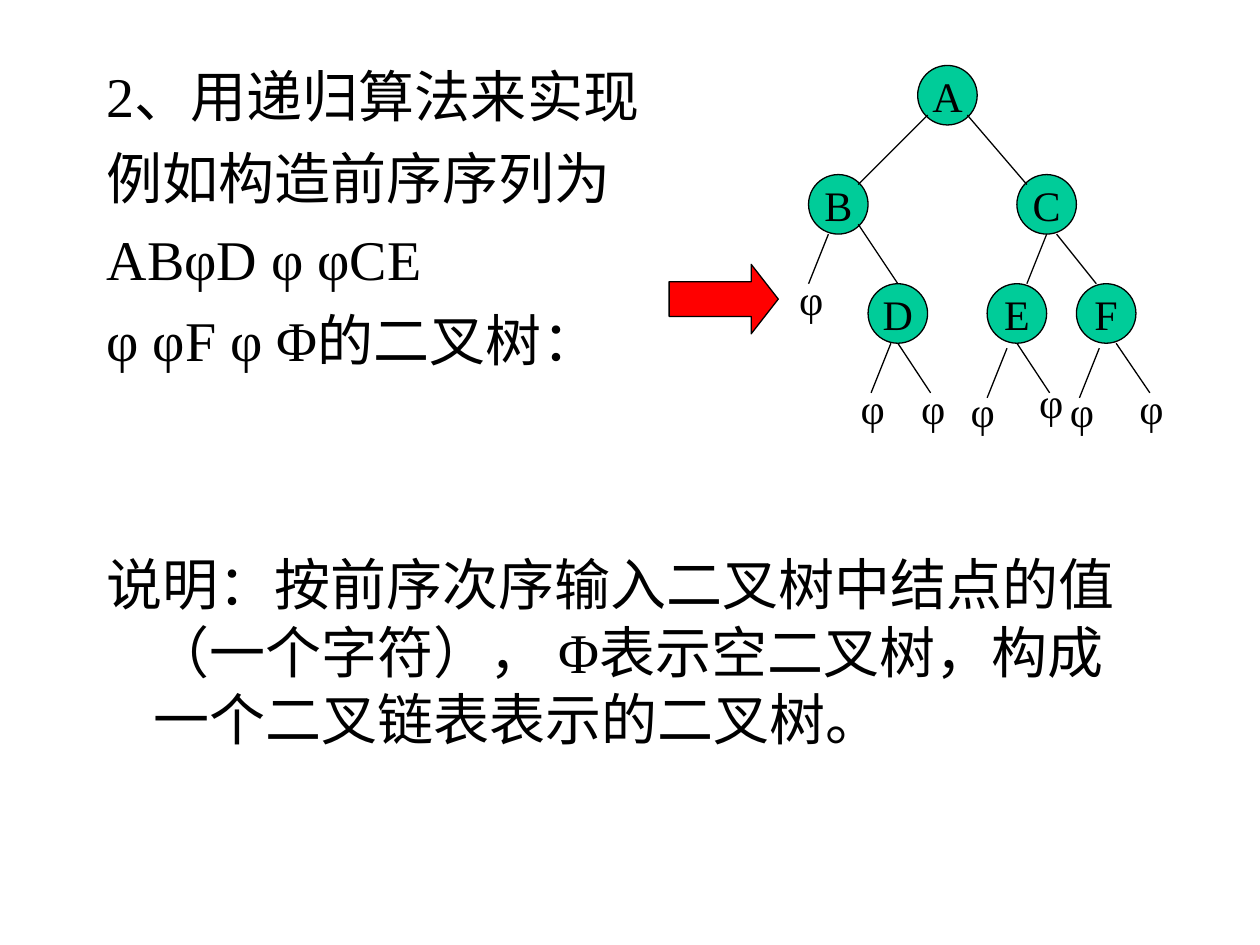
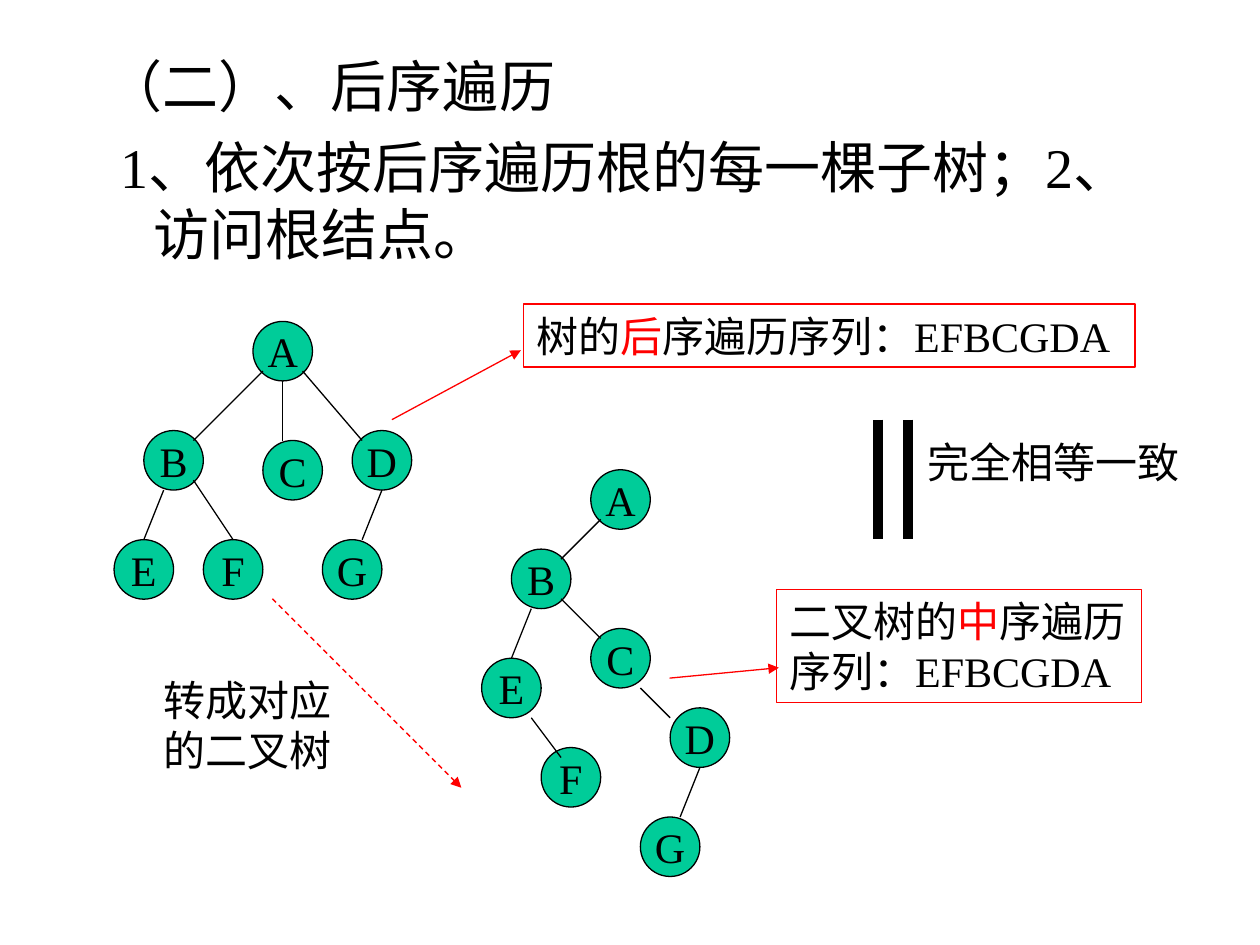
from pptx import Presentation
from pptx.dml.color import RGBColor
from pptx.enum.dml import MSO_LINE
from pptx.enum.shapes import MSO_CONNECTOR, MSO_SHAPE
from pptx.enum.text import MSO_ANCHOR, MSO_AUTO_SIZE, PP_ALIGN
from pptx.oxml.ns import qn
from pptx.util import Cm, Pt
from lxml import etree

BLACK = RGBColor(0, 0, 0)
RED = RGBColor(0xFF, 0, 0)
GREEN = RGBColor(0, 0xCC, 0x99)
FONT = "Times New Roman"
LARGE, SMALL = 32, 24

GRID = 0.2
NODE = 6 * GRID
LEFT = 1.9
PITCH = 1.64
HANGING = 0.95
TEXT_HEIGHT = 1.6

COMMON_EDGES = [
    (1, 5, -6, 12), (5, 5, 11, 12), (-9, 17, -11, 22),
    (-6, 16, -2, 22), (13, 17, 11, 22),
]

PREORDER_TREE = {
    "origin": (18.5, 1.32),
    "nodes": {"A": (0, 0), "B": (-11, 11), "C": (10, 11),
              "D": (-5, 22), "E": (7, 22), "F": (16, 22)},
    "edges": COMMON_EDGES + [
        (14, 17, 18, 22), (-2.7, 28, -4.7, 33), (-2, 28, 1.3, 33),
        (9, 28.5, 7, 33.5), (10, 28, 13.3, 33),
        (18.3, 28.5, 16.3, 33.5), (20, 28, 23.4, 33)],
    "empties": [(-13.2, 20.3), (-7, 31.3), (-0.9, 31.3), (4.1, 31.6),
                (11, 30.7), (14.1, 31.6), (21.1, 31.3)],
}
GENERAL_TREE = {
    "origin": (5.1, 6.48),
    "nodes": {"A": (0, 0), "B": (-11, 11), "C": (1, 12), "D": (10, 11),
              "E": (-14, 22), "F": (-5, 22), "G": (7, 22)},
    "edges": COMMON_EDGES + [(3, 6, 3, 12)],
    "empties": [],
}
BINARY_TREE = {
    "origin": (11.91, 9.47),
    "nodes": {"A": (0, 0), "B": (-8, 8), "C": (0, 16), "D": (8, 24),
              "E": (-11, 19), "F": (-5, 28), "G": (5, 35)},
    "edges": [(1, 5, -3, 9), (-6, 14, -8, 19), (-6, 25, -3, 29),
              (11, 30, 9, 35), (-3, 13, 1, 17), (5, 22, 8, 25)],
    "empties": [],
}

RECURSION = {
    "title": "2、用递归算法来实现",
    "title_top": 1.12,
    "passages": [
        (1, 11.4, HANGING, ["例如构造前序序列为", "ABφD φ φCE", "φ φF φ Φ的二叉树："]),
        (6, 21.59, HANGING, ["说明：按前序次序输入二叉树中结点的值（一个字符），"
                             " Φ表示空二叉树，构成一个二叉链表表示的二叉树。"]),
    ],
    "trees": [PREORDER_TREE],
    "labels": [],
    "arrows": [],
    "bars": [],
}
POSTORDER = {
    "title": "（二）、后序遍历",
    "title_top": 0.91,
    "passages": [
        (1, 21.59, 0.67, ["1、依次按后序遍历根的每一棵子树；2、访问根结点。"]),
    ],
    "trees": [GENERAL_TREE, BINARY_TREE],
    "labels": [
        ((10.56, 6.13, 12.32, 1.27), RED,
         [[("树的", BLACK), ("后", RED), ("序遍历序列：EFBCGDA", BLACK)]]),
        ((15.66, 11.88, 7.36, 2.29), RED,
         [[("二叉树的", BLACK), ("中", RED), ("序遍历", BLACK)],
          [("序列：EFBCGDA", BLACK)]]),
        ((3.05, 13.47, 3.96, 2.29), None,
         [[("转成对应", BLACK)], [("的二叉树", BLACK)]]),
        ((18.45, 8.67, 5.66, 1.27), None, [[("完全相等一致", BLACK)]]),
    ],
    "arrows": [((7.9, 8.46, 10.5, 7.06), False),
               ((13.5, 13.67, 15.7, 13.46), False),
               ((5.49, 12.07, 9.3, 15.88), True)],
    "bars": [(17.7, 8.46, 17.7, 10.87), (18.3, 8.46, 18.3, 10.87)],
}


def style_runs(paragraph, size, color=BLACK):
    for run in paragraph.runs:
        run.font.name = FONT
        run.font.size = Pt(size)
        run.font.color.rgb = color


def add_title(slide, text, top):
    title = slide.shapes.title
    title.left, title.top, title.width, title.height = map(Cm, (LEFT, top, 15, TEXT_HEIGHT))
    frame = title.text_frame
    frame.text = text
    frame.auto_size = MSO_AUTO_SIZE.NONE
    frame.vertical_anchor = MSO_ANCHOR.TOP
    frame.paragraphs[0].alignment = PP_ALIGN.LEFT
    style_runs(frame.paragraphs[0], LARGE)


def add_passage(slide, top, width, hanging, lines):
    box = slide.shapes.add_textbox(Cm(LEFT), Cm(top), Cm(width), Cm(PITCH * len(lines)))
    frame = box.text_frame
    frame.word_wrap = True
    frame.text = "\n".join(lines)
    for index, paragraph in enumerate(frame.paragraphs):
        properties = paragraph._p.get_or_add_pPr()
        properties.set("marL", str(Cm(HANGING)))
        properties.set("indent", str(-Cm(hanging)))
        paragraph.space_before = Pt(8 if index else 0)
        style_runs(paragraph, LARGE)


def add_label(slide, place, border, lines):
    label = slide.shapes.add_textbox(*map(Cm, place))
    if border is not None:
        label.line.color.rgb = border
        label.line.width = Pt(0.75)
    frame = label.text_frame
    frame.word_wrap = False
    frame.auto_size = MSO_AUTO_SIZE.SHAPE_TO_FIT_TEXT
    for index, pieces in enumerate(lines):
        paragraph = frame.add_paragraph() if index else frame.paragraphs[0]
        for text, color in pieces:
            run = paragraph.add_run()
            run.text = text
            run.font.name = FONT
            run.font.size = Pt(SMALL)
            run.font.color.rgb = color


def add_line(slide, ends, color=BLACK, width=0.75, arrow=False, dashed=False):
    line = slide.shapes.add_connector(MSO_CONNECTOR.STRAIGHT, *map(Cm, ends))
    line.line.color.rgb = color
    line.line.width = Pt(width)
    if dashed:
        line.line.dash_style = MSO_LINE.DASH
    if arrow:
        etree.SubElement(line.line._get_or_add_ln(), qn("a:tailEnd"), type="triangle")
    etree.SubElement(line._element.spPr, qn("a:effectLst"))


def add_preset(slide, preset, place, fill):
    shape = slide.shapes.add_shape(preset, *map(Cm, place))
    shape.shadow.inherit = False
    shape.fill.solid()
    shape.fill.fore_color.rgb = fill
    shape.line.color.rgb = BLACK
    shape.line.width = Pt(0.75)
    return shape


def add_tree(slide, tree):
    left, top = tree["origin"]

    def at(column, row):
        return left + column * GRID, top + row * GRID

    for name, spot in tree["nodes"].items():
        node = add_preset(slide, MSO_SHAPE.OVAL, (*at(*spot), NODE, NODE), GREEN)
        frame = node.text_frame
        frame.text = name
        frame.word_wrap = False
        frame.vertical_anchor = MSO_ANCHOR.MIDDLE
        frame.paragraphs[0].alignment = PP_ALIGN.CENTER
        style_runs(frame.paragraphs[0], SMALL)
    for x1, y1, x2, y2 in tree["edges"]:
        add_line(slide, (*at(x1, y1), *at(x2, y2)))
    for spot in tree["empties"]:
        add_label(slide, (*at(*spot), 1, 1.27), None, [[("φ", BLACK)]])


def build_slide(deck, content):
    slide = deck.slides.add_slide(deck.slide_layouts[5])
    title_top = content["title_top"]
    add_title(slide, content["title"], title_top)
    for row, width, hanging, lines in content["passages"]:
        add_passage(slide, title_top + row * PITCH, width, hanging, lines)
    for tree in content["trees"]:
        add_tree(slide, tree)
    for place, border, lines in content["labels"]:
        add_label(slide, place, border, lines)
    for ends, dashed in content["arrows"]:
        add_line(slide, ends, RED, arrow=True, dashed=dashed)
    for ends in content["bars"]:
        add_line(slide, ends, width=6)
    return slide


def main():
    deck = Presentation()
    deck.slide_width, deck.slide_height = Cm(25.4), Cm(19.05)
    recursion = build_slide(deck, RECURSION)
    pointer = add_preset(recursion, MSO_SHAPE.RIGHT_ARROW, (13.49, 5.33, 2.2, 1.4), RED)
    pointer.adjustments[1] = 0.39
    build_slide(deck, POSTORDER)
    deck.save("out.pptx")


if __name__ == "__main__":
    main()
